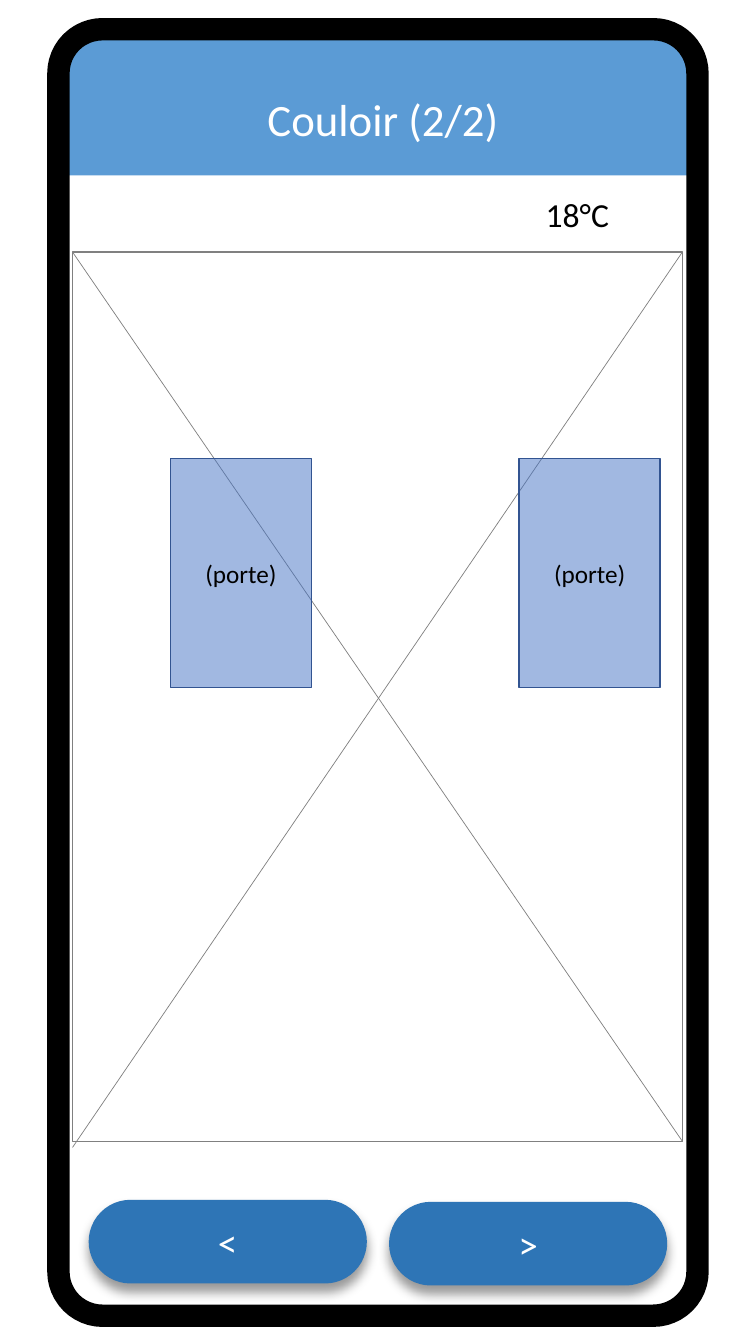
from dataclasses import dataclass
from typing import Optional

from lxml.etree import SubElement
from pptx import Presentation
from pptx.dml.color import RGBColor
from pptx.enum.shapes import MSO_CONNECTOR, MSO_SHAPE
from pptx.enum.text import MSO_ANCHOR, MSO_AUTO_SIZE, PP_ALIGN
from pptx.oxml.ns import qn
from pptx.util import Inches, Pt

WHITE = RGBColor(0xFF, 0xFF, 0xFF)
BLACK = RGBColor(0x00, 0x00, 0x00)
GRAY = RGBColor(0x80, 0x80, 0x80)
HEADER_BLUE = RGBColor(0x5B, 0x9B, 0xD5)
BUTTON_BLUE = RGBColor(0x2E, 0x75, 0xB6)
DOOR_BLUE = RGBColor(0x44, 0x72, 0xC4)
DOOR_EDGE = RGBColor(0x32, 0x54, 0x91)

SCREEN_LEFT, SCREEN_TOP, SCREEN_WIDTH, SCREEN_HEIGHT = 0.58, 0.29, 6.34, 12.76
PLAN_LEFT, PLAN_TOP, PLAN_WIDTH, PLAN_HEIGHT = 0.72, 2.5, 6.05, 8.82
PLAN_RIGHT, PLAN_BOTTOM = PLAN_LEFT + PLAN_WIDTH, PLAN_TOP + PLAN_HEIGHT


@dataclass
class Label:
    text: str
    size: int
    color: RGBColor
    align: PP_ALIGN = PP_ALIGN.CENTER


@dataclass
class Panel:
    preset: MSO_SHAPE
    left: float
    top: float
    width: float
    height: float
    fill: Optional[RGBColor] = None
    line: Optional[RGBColor] = None
    weight: float = 1
    rounding: tuple = ()
    opacity: int = 100
    shadow: bool = False
    label: Optional[Label] = None


def write_label(frame, label: Label) -> None:
    frame.word_wrap = True
    para = frame.paragraphs[0]
    para.alignment = label.align
    span = para.add_run()
    span.text = label.text
    span.font.color.rgb = label.color
    for name, value in {"name": "Calibri", "size": Pt(label.size)}.items():
        setattr(span.font, name, value)


def add_shadow(shape) -> None:
    effects = shape._element.spPr.find(qn("a:effectLst"))
    shadow = SubElement(effects, qn("a:outerShdw"), blurRad=str(Pt(8)), dist=str(Pt(6)),
                        dir="5400000", algn="t", rotWithShape="0")
    color = SubElement(shadow, qn("a:srgbClr"), val=str(BLACK))
    SubElement(color, qn("a:alpha"), val="40000")


def draw_panel(page, panel: Panel) -> None:
    shape = page.shapes.add_shape(panel.preset, Inches(panel.left), Inches(panel.top),
                                  Inches(panel.width), Inches(panel.height))
    shape.shadow.inherit = False
    for index, value in enumerate(panel.rounding):
        shape.adjustments[index] = value
    if panel.fill is None:
        shape.fill.background()
    else:
        shape.fill.solid()
        shape.fill.fore_color.rgb = panel.fill
    if panel.opacity < 100:
        color = shape._element.spPr.find(qn("a:solidFill"))[0]
        SubElement(color, qn("a:alpha"), val=str(panel.opacity * 1000))
    if panel.line is None:
        shape.line.fill.background()
    else:
        shape.line.color.rgb = panel.line
        shape.line.width = Pt(panel.weight)
    if panel.shadow:
        add_shadow(shape)
    if panel.label:
        shape.text_frame.vertical_anchor = MSO_ANCHOR.MIDDLE
        write_label(shape.text_frame, panel.label)


def draw_text(page, left: float, top: float, width: float, height: float, label: Label) -> None:
    box = page.shapes.add_textbox(Inches(left), Inches(top), Inches(width), Inches(height))
    write_label(box.text_frame, label)
    box.text_frame.auto_size = MSO_AUTO_SIZE.SHAPE_TO_FIT_TEXT


def draw_diagonal(page, start_x: float, end_x: float, end_y: float) -> None:
    line = page.shapes.add_connector(MSO_CONNECTOR.STRAIGHT, Inches(start_x), Inches(PLAN_TOP),
                                     Inches(end_x), Inches(end_y))
    line.line.color.rgb = GRAY
    line.line.width = Pt(0.5)
    SubElement(line._element.spPr, qn("a:effectLst"))


def button(left: float, top: float, text: str) -> Panel:
    return Panel(MSO_SHAPE.ROUNDED_RECTANGLE, left, top, 2.76, 0.83, fill=BUTTON_BLUE,
                 rounding=(0.5,), shadow=True, label=Label(text, 28, WHITE))


def door(left: float) -> Panel:
    return Panel(MSO_SHAPE.RECTANGLE, left, 4.55, 1.4, 2.27, fill=DOOR_BLUE, line=DOOR_EDGE,
                 opacity=50, label=Label("(porte)", 18, BLACK))


def main() -> None:
    deck = Presentation()
    deck.slide_width, deck.slide_height = Inches(7.5), Inches(13.33)
    page = deck.slides.add_slide(deck.slide_layouts[6])

    header = Panel(MSO_SHAPE.ROUND_2_SAME_RECTANGLE, SCREEN_LEFT, SCREEN_TOP, SCREEN_WIDTH, 1.45,
                   fill=HEADER_BLUE, rounding=(0.345, 0))
    phone = Panel(MSO_SHAPE.ROUNDED_RECTANGLE, SCREEN_LEFT, SCREEN_TOP, SCREEN_WIDTH,
                  SCREEN_HEIGHT, line=BLACK, weight=16, rounding=(0.069,))
    plan = Panel(MSO_SHAPE.RECTANGLE, PLAN_LEFT, PLAN_TOP, PLAN_WIDTH, PLAN_HEIGHT,
                 fill=WHITE, line=GRAY)

    draw_panel(page, header)
    draw_text(page, 1.47, 0.86, 4.66, 0.64, Label("Couloir (2/2)", 32, WHITE))
    for panel in (phone, button(0.88, 11.9, "<"), plan):
        draw_panel(page, panel)
    draw_diagonal(page, PLAN_LEFT, PLAN_RIGHT, PLAN_BOTTOM)
    draw_diagonal(page, PLAN_RIGHT, PLAN_LEFT, 11.38)
    draw_panel(page, button(3.86, 11.92, ">"))
    draw_text(page, 1.69, 1.87, 4.45, 0.5, Label("18°C", 24, BLACK, PP_ALIGN.RIGHT))
    for left in (1.69, 5.15):
        draw_panel(page, door(left))

    deck.save("out.pptx")


if __name__ == "__main__":
    main()
